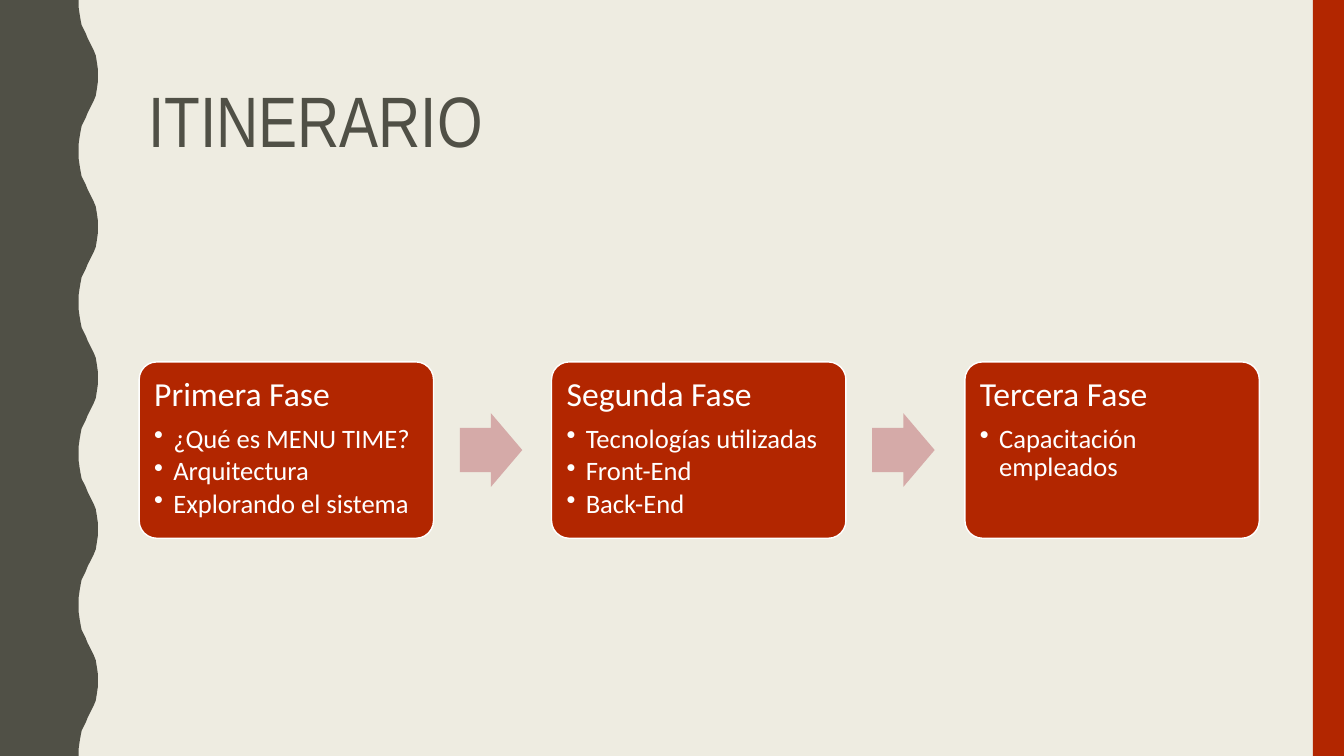
from dataclasses import dataclass

from lxml.etree import SubElement
from pptx import Presentation
from pptx.dml.color import RGBColor
from pptx.enum.shapes import MSO_SHAPE as Shape
from pptx.enum.text import MSO_ANCHOR as Anchor, PP_ALIGN as Align
from pptx.oxml.ns import qn
from pptx.util import Pt

PX = 9144  # EMU per px, at 100 px to the inch
WIDTH, HEIGHT = 1333, 750


@dataclass(frozen=True)
class Theme:
    paper: str = "EEECE1"
    dark: str = "505046"
    accent: str = "B22600"
    arrow: str = "D5AAA8"
    light: str = "FFFFFF"
    title_font: str = "Arial Narrow"
    body_font: str = "Calibri"
    title_size: int = 51
    heading_size: int = 24
    item_size: int = 19


def write_text(para, text, *, font, size, color, before=0, bullet_indent=0):
    """Fill one paragraph, with a hanging bullet if an indent is given."""
    para.alignment = Align.LEFT
    para.line_spacing = 0.9
    para.space_before = Pt(before)
    span = para.add_run()
    span.text = text
    span.font.name = font
    span.font.size = Pt(size)
    span.font.color.rgb = RGBColor.from_string(color)
    if bullet_indent:
        props = para._p.get_or_add_pPr()
        props.set("marL", str(bullet_indent * PX))
        props.set("indent", str(-bullet_indent * PX))
        SubElement(props, qn("a:buChar")).set("char", "•")


class SlideBuilder:
    def __init__(self, page, theme):
        self.page = page
        self.theme = theme
        background = page.background.fill
        background.solid()
        background.fore_color.rgb = RGBColor.from_string(theme.paper)

    def paint(self, shape, fill, line=None):
        shape.shadow.inherit = False
        shape.fill.solid()
        shape.fill.fore_color.rgb = RGBColor.from_string(fill)
        if line:
            shape.line.color.rgb = RGBColor.from_string(line)
            shape.line.width = Pt(1)
        else:
            shape.line.fill.background()

    def preset(self, kind, left, top, width, height, fill, line=None, adjust=()):
        shape = self.page.shapes.add_shape(
            kind, left * PX, top * PX, width * PX, height * PX)
        for index, value in enumerate(adjust):
            shape.adjustments[index] = value
        self.paint(shape, fill, line)
        return shape

    def outline(self, points, fill):
        pen = self.page.shapes.build_freeform(*points[0], scale=PX)
        pen.add_line_segments(points[1:], close=True)
        self.paint(pen.convert_to_shape(), fill)

    def title(self, text, left, top, width, height):
        box = self.page.shapes.add_textbox(
            left * PX, top * PX, width * PX, height * PX)
        frame = box.text_frame
        frame.word_wrap = True
        frame.vertical_anchor = Anchor.MIDDLE
        write_text(frame.paragraphs[0], text, font=self.theme.title_font,
                   size=self.theme.title_size, color=self.theme.dark)

    def card(self, heading, items, left, top, width, height):
        theme = self.theme
        box = self.preset(Shape.ROUNDED_RECTANGLE, left, top, width, height,
                          theme.accent, theme.light, adjust=[0.1])
        frame = box.text_frame
        frame.word_wrap = True
        frame.vertical_anchor = Anchor.TOP
        frame.margin_left = frame.margin_right = 10 * PX
        frame.margin_top = frame.margin_bottom = 10 * PX
        write_text(frame.paragraphs[0], heading, font=theme.body_font,
                   size=theme.heading_size, color=theme.light)
        for index, item in enumerate(items):
            write_text(frame.add_paragraph(), item, font=theme.body_font,
                       size=theme.item_size, color=theme.light,
                       before=2.9 if index else 8.4, bullet_indent=19)


def wave_points():
    """Left band whose right edge repeats one mirrored half wave."""
    rise = [(78, 0), (78, 7), (79, 14), (80, 20), (81, 25), (83, 29), (85, 33),
            (87, 38), (89, 42), (91, 46), (93, 50), (95, 55), (96, 61),
            (97, 68), (97, 75)]
    period = 150
    wave = rise + [(x, period - y) for x, y in reversed(rise[:-1])]
    edge = [(x, start + y) for start in range(0, HEIGHT, period) for x, y in wave]
    return [(0, 0), *edge, (0, HEIGHT)]


PHASES = [
    ("Primera Fase", ["¿Qué es MENU TIME?", "Arquitectura", "Explorando el sistema"]),
    ("Segunda Fase", ["Tecnologías utilizadas", "Front-End", "Back-End"]),
    ("Tercera Fase", ["Capacitación empleados"]),
]


def main():
    deck = Presentation()
    deck.slide_width, deck.slide_height = WIDTH * PX, HEIGHT * PX
    theme = Theme()
    builder = SlideBuilder(deck.slides.add_slide(deck.slide_layouts[6]), theme)

    # Side bands
    builder.outline(wave_points(), theme.dark)
    builder.preset(Shape.RECTANGLE, WIDTH - 31, 0, 31, HEIGHT, theme.accent)

    # Title
    builder.title("ITINERARIO", 137, 42, 1113, 163)

    # Phases, with an arrow from each to the next
    first_left, last_left = 138, 957
    for index, (heading, items) in enumerate(PHASES):
        left = first_left + (last_left - first_left) * index // (len(PHASES) - 1)
        builder.card(heading, items, left, 359, 292, 175)
        if index < len(PHASES) - 1:
            builder.preset(Shape.RIGHT_ARROW, left + 318, 410, 62, 73,
                           theme.arrow, adjust=[0.6, 0.5])

    deck.save("out.pptx")


if __name__ == "__main__":
    main()
